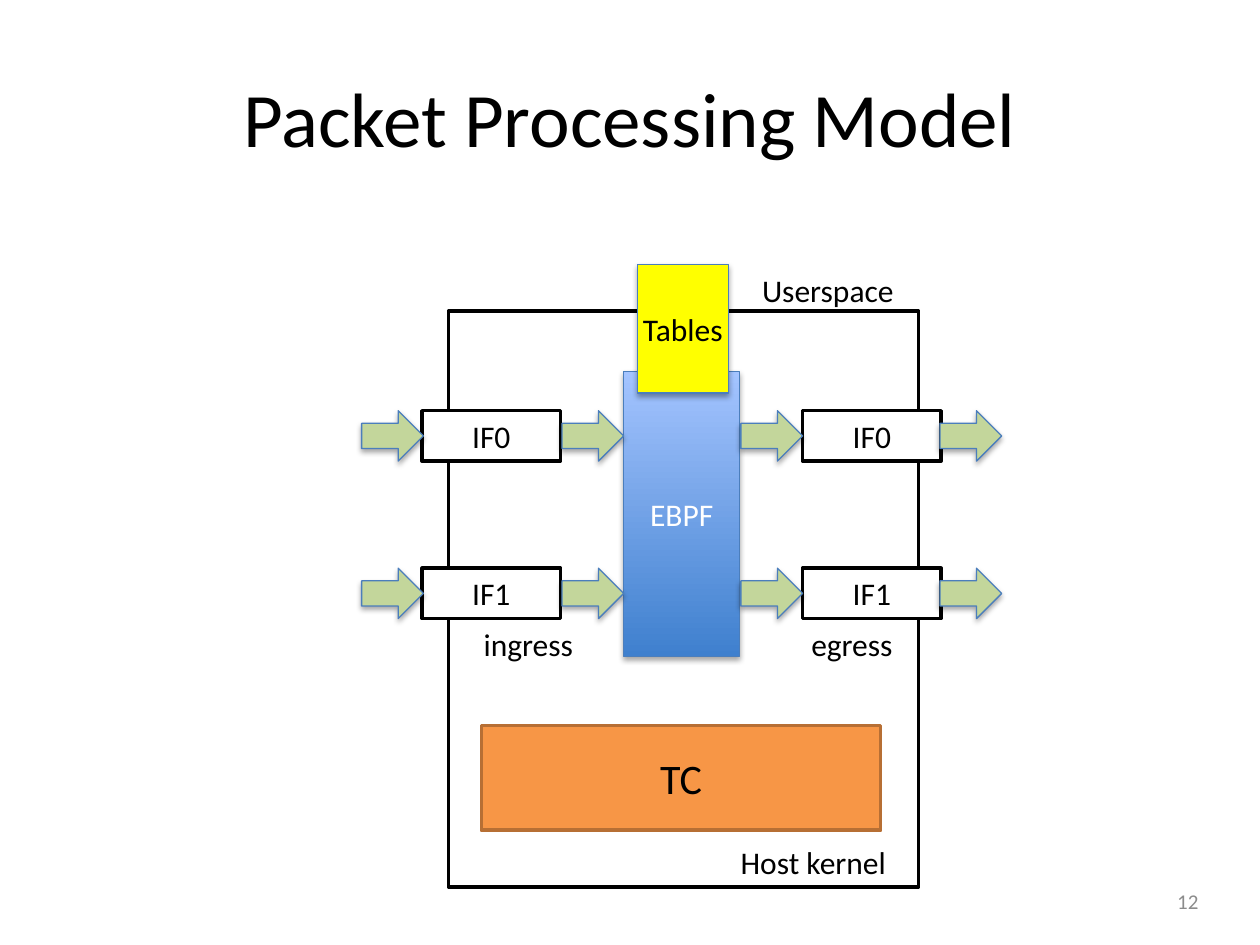
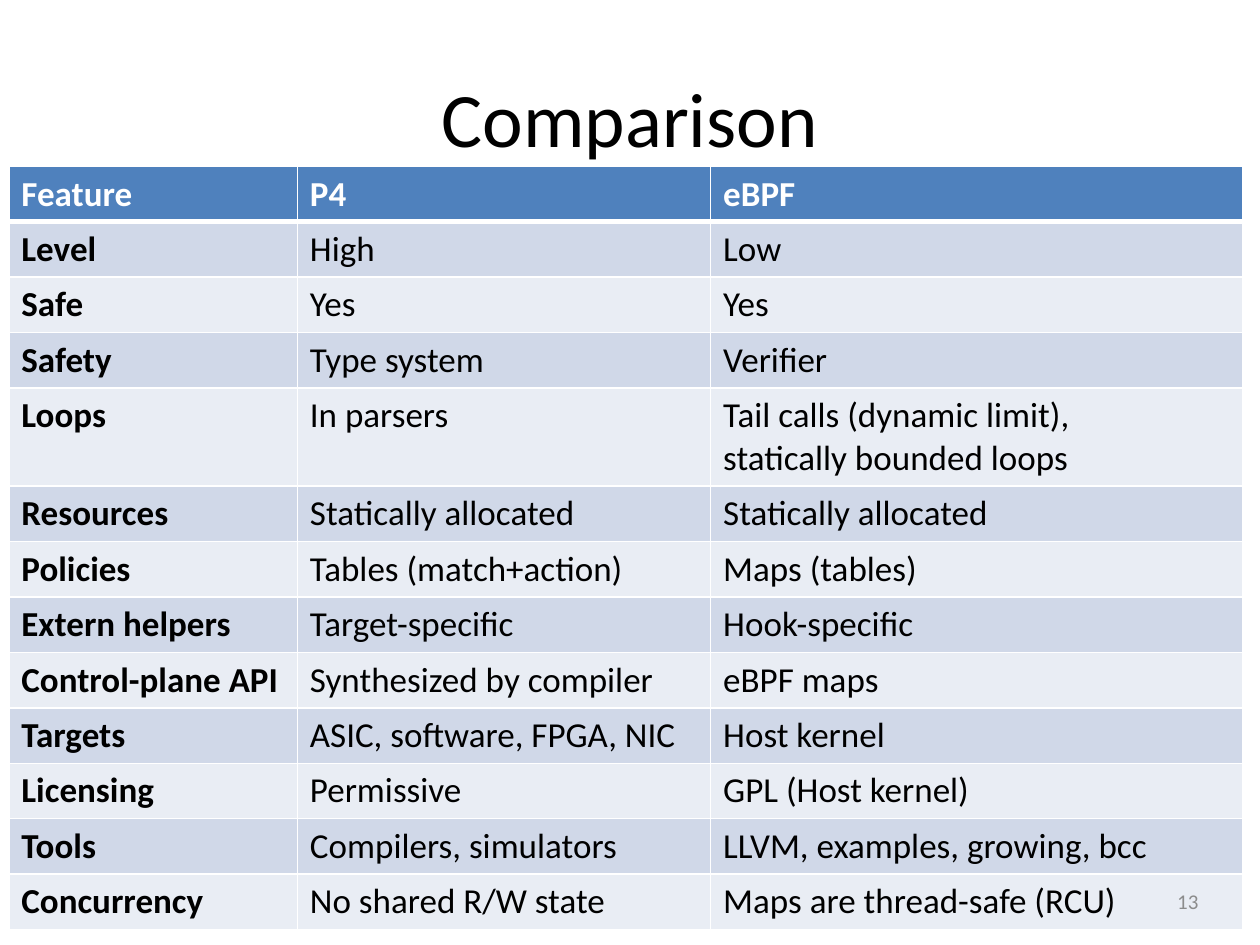
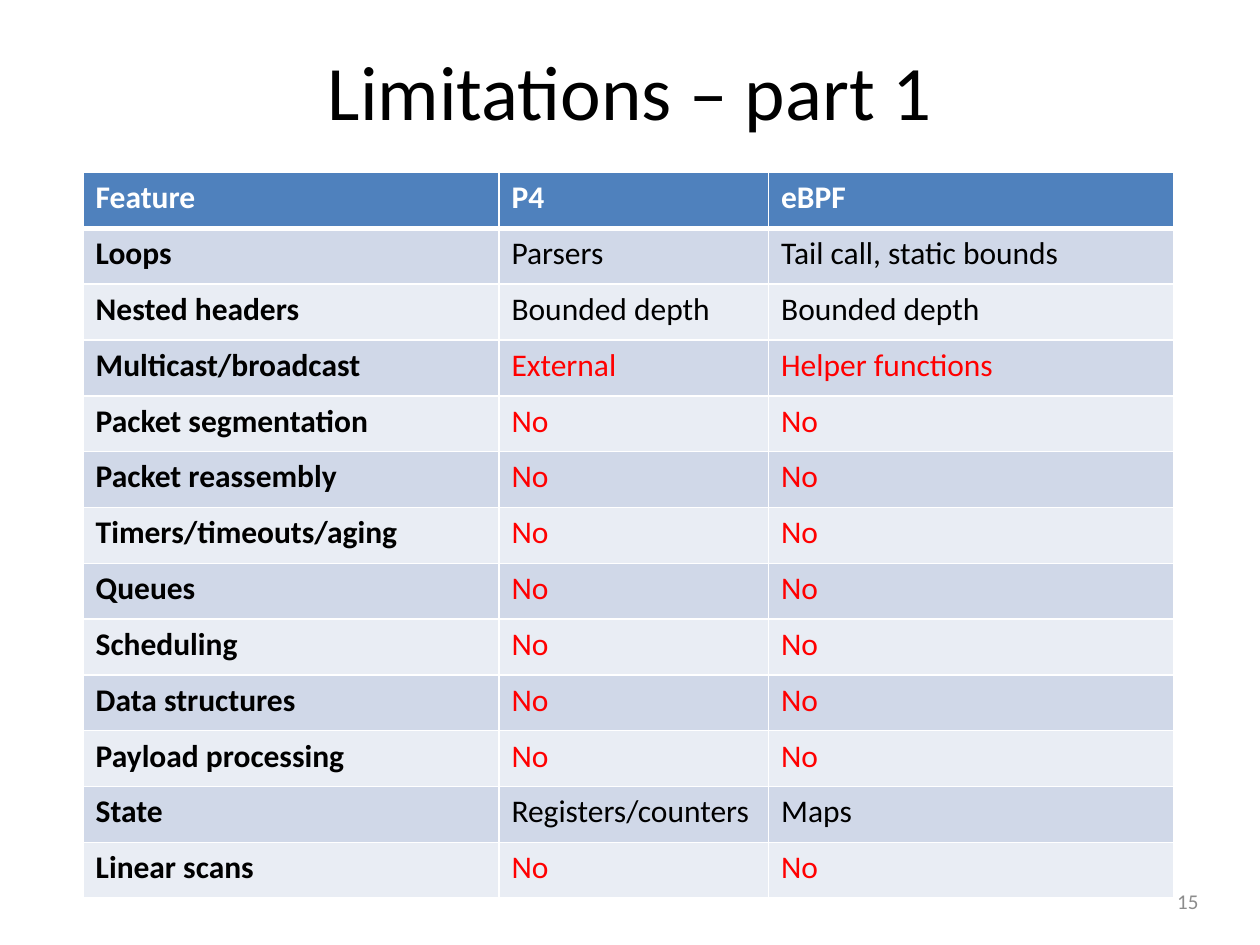
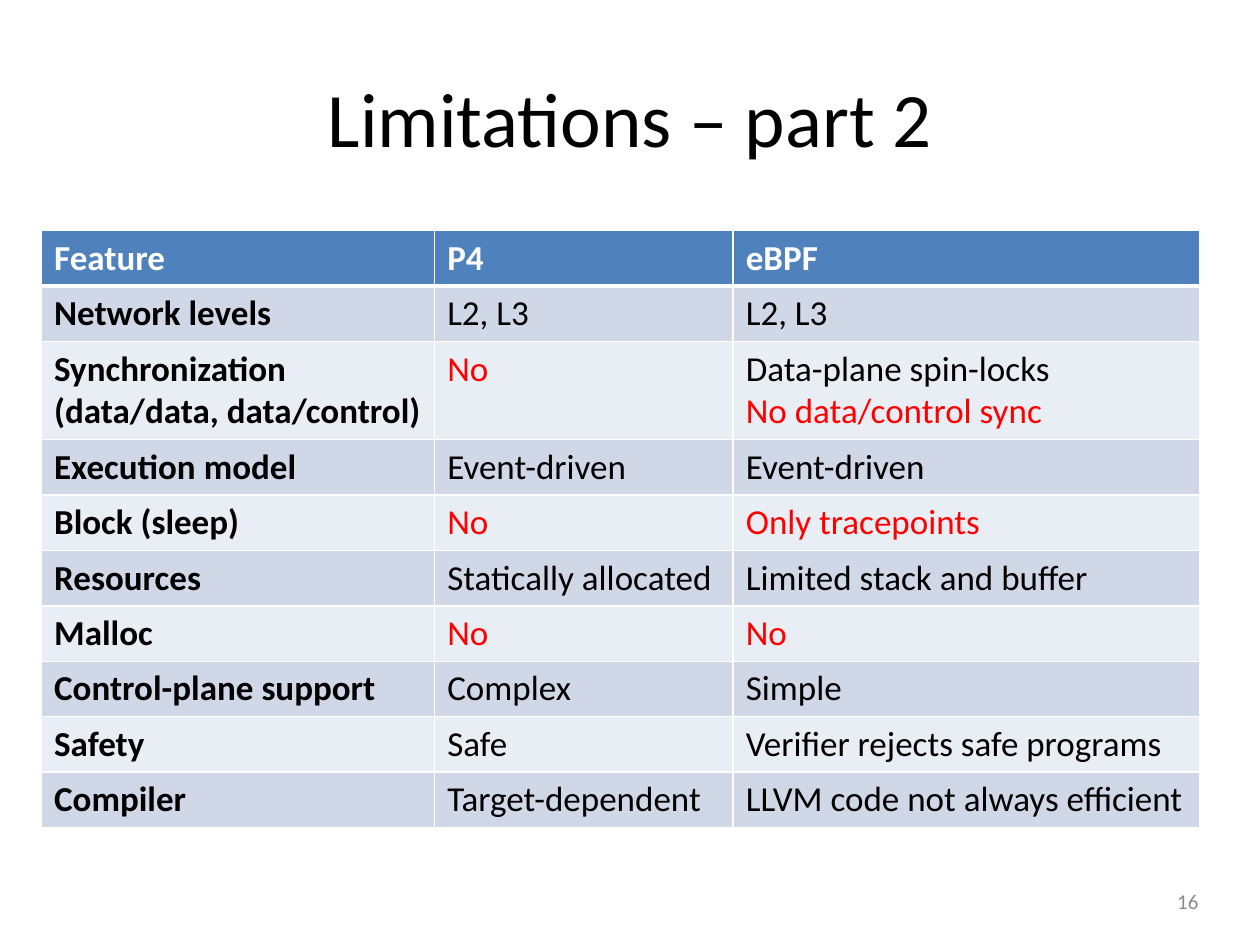
"""Builds four slides on packet processing: one diagram and three feature tables."""
from lxml import etree
from pptx import Presentation
from pptx.dml.color import RGBColor
from pptx.enum.shapes import MSO_SHAPE
from pptx.enum.text import MSO_ANCHOR, MSO_AUTO_SIZE, PP_ALIGN
from pptx.oxml.ns import qn
from pptx.util import Inches, Pt

RECTANGLE, ARROW = MSO_SHAPE.RECTANGLE, MSO_SHAPE.RIGHT_ARROW
LEFT, CENTER, RIGHT = PP_ALIGN.LEFT, PP_ALIGN.CENTER, PP_ALIGN.RIGHT
TOP, MIDDLE = MSO_ANCHOR.TOP, MSO_ANCHOR.MIDDLE
FIT_SHAPE = MSO_AUTO_SIZE.SHAPE_TO_FIT_TEXT

FONT = "Calibri"
BLACK, WHITE, RED, GRAY = "000000", "FFFFFF", "FF0000", "8C8C8C"
HEADER_BLUE, BANDS = "4F81BD", ("D0D8E8", "E9EDF4")
ORANGE, DARK_ORANGE = "F79646", "B76F34"
GREEN, YELLOW, EDGE_BLUE = "C3D69B", "FFFF00", "4B7EBC"
EBPF_GRADIENT = ("3F80CE", "A4C4FF")

TITLE_AREA = (0.5, 0.3, 9, 1.25)
RAISED_TITLE_AREA = (0.5, 0.27, 9, 0.89)
NUMBER_AREA = (8.57, 6.95, 1.04, 0.4)

INTERFACES = [("IF0", 3.26), ("IF1", 4.51)]
INTERFACE_COLUMNS = (3.35, 6.37)
ARROW_COLUMNS = (2.87, 4.46, 5.88, 7.46)
INTERFACE_SIZE, ARROW_SIZE = (1.1, 0.4), (0.49, 0.4)
LABELS = [
    ("Host kernel", (5.78, 6.64, 1.44, 0.4)),
    ("ingress", (3.74, 4.91, 0.92, 0.4)),
    ("egress", (6.34, 4.91, 0.85, 0.4)),
    ("Userspace", (5.95, 2.1, 1.26, 0.4)),
]

HEADER = ("Feature", "P4", "eBPF")
LINE_HEIGHT = 0.34
WARNINGS = {"No", "External", "Helper functions", "Only tracepoints", "No data/control sync"}
TABLE_SLIDES = [
    {
        "title": "Comparison", "title_area": TITLE_AREA, "number": 13,
        "origin": (0.07, 1.32), "columns": (2.29, 3.28, 4.22), "row_height": 0.44, "size": 20,
        "rows": [
            ("Level", "High", "Low"),
            ("Safe", "Yes", "Yes"),
            ("Safety", "Type system", "Verifier"),
            ("Loops", "In parsers", "Tail calls (dynamic limit),\nstatically bounded loops"),
            ("Resources", "Statically allocated", "Statically allocated"),
            ("Policies", "Tables (match+action)", "Maps (tables)"),
            ("Extern helpers", "Target-specific", "Hook-specific"),
            ("Control-plane API", "Synthesized by compiler", "eBPF maps"),
            ("Targets", "ASIC, software, FPGA, NIC", "Host kernel"),
            ("Licensing", "Permissive", "GPL (Host kernel)"),
            ("Tools", "Compilers, simulators", "LLVM, examples, growing, bcc"),
            ("Concurrency", "No shared R/W state", "Maps are thread-safe (RCU)"),
        ],
    },
    {
        "title": "Limitations – part 1", "title_area": RAISED_TITLE_AREA, "number": 15,
        "origin": (0.66, 1.37), "columns": (3.3, 2.14, 3.22), "row_height": 5.76 / 13, "size": 18,
        "rows": [
            ("Loops", "Parsers", "Tail call, static bounds"),
            ("Nested headers", "Bounded depth", "Bounded depth"),
            ("Multicast/broadcast", "External", "Helper functions"),
            ("Packet segmentation", "No", "No"),
            ("Packet reassembly", "No", "No"),
            ("Timers/timeouts/aging", "No", "No"),
            ("Queues", "No", "No"),
            ("Scheduling", "No", "No"),
            ("Data structures", "No", "No"),
            ("Payload processing", "No", "No"),
            ("State", "Registers/counters", "Maps"),
            ("Linear scans", "No", "No"),
        ],
    },
    {
        "title": "Limitations – part 2", "title_area": TITLE_AREA, "number": 16,
        "origin": (0.33, 1.83), "columns": (3.12, 2.37, 3.7), "row_height": 0.44, "size": 20,
        "rows": [
            ("Network levels", "L2, L3", "L2, L3"),
            ("Synchronization\n(data/data, data/control)", "No",
             "Data-plane spin-locks\nNo data/control sync"),
            ("Execution model", "Event-driven", "Event-driven"),
            ("Block (sleep)", "No", "Only tracepoints"),
            ("Resources", "Statically allocated", "Limited stack and buffer"),
            ("Malloc", "No", "No"),
            ("Control-plane support", "Complex", "Simple"),
            ("Safety", "Safe", "Verifier rejects safe programs"),
            ("Compiler", "Target-dependent", "LLVM code not always efficient"),
        ],
    },
]


def rgb(color):
    return RGBColor.from_string(color)


def inches(lengths):
    return [Inches(length) for length in lengths]


def style(paragraph, size, color=BLACK, bold=False, align=LEFT):
    paragraph.alignment = align
    font = paragraph.font
    font.name, font.size, font.bold = FONT, Pt(size), bold
    font.color.rgb = rgb(color)


def add_text(page, text, area, size=18, color=BLACK, align=LEFT, anchor=TOP, wrap=True):
    frame = page.shapes.add_textbox(*inches(area)).text_frame
    frame.word_wrap = wrap
    frame.vertical_anchor = anchor
    if not wrap:
        frame.auto_size = FIT_SHAPE
    frame.text = text
    style(frame.paragraphs[0], size, color, align=align)


def add_shadow(shape):
    effects = shape.element.spPr.find(qn("a:effectLst"))
    shadow = etree.SubElement(effects, qn("a:outerShdw"), blurRad="40000", dist="23000",
                              dir="5400000", rotWithShape="0")
    black = etree.SubElement(shadow, qn("a:srgbClr"), val=BLACK)
    etree.SubElement(black, qn("a:alpha"), val="35000")


def add_block(page, area, fill=None, line=BLACK, width=2, text="", size=18, color=BLACK,
              kind=RECTANGLE, raised=False, wrap=True):
    block = page.shapes.add_shape(kind, *inches(area))
    block.shadow.inherit = False
    if fill:
        block.fill.solid()
        block.fill.fore_color.rgb = rgb(fill)
    else:
        block.fill.background()
    block.line.color.rgb = rgb(line)
    block.line.width = Pt(width)
    if raised:
        add_shadow(block)
    if text:
        frame = block.text_frame
        frame.word_wrap = wrap
        frame.vertical_anchor = MIDDLE
        frame.text = text
        style(frame.paragraphs[0], size, color, align=CENTER)
    return block


def set_borders(cell, widths):
    properties = cell._tc.get_or_add_tcPr()
    for index, (side, width) in enumerate(widths.items()):
        border = etree.Element(qn(f"a:ln{side}"), w=str(Pt(width)))
        fill = etree.SubElement(border, qn("a:solidFill"))
        etree.SubElement(fill, qn("a:srgbClr"), val=WHITE)
        properties.insert(index, border)


def add_feature_table(page, content):
    rows = [HEADER] + content["rows"]
    heights = [content["row_height"] + LINE_HEIGHT * max(text.count("\n") for text in row)
               for row in rows]
    columns = content["columns"]
    area = (*content["origin"], sum(columns), sum(heights))
    table = page.shapes.add_table(len(rows), len(columns), *inches(area)).table
    for column, width in zip(table.columns, columns):
        column.width = Inches(width)
    for row_index, row in enumerate(rows):
        table.rows[row_index].height = Inches(heights[row_index])
        is_header = row_index == 0
        borders = {"L": 1, "R": 1, "T": 1, "B": 3} if is_header else {"L": 1, "R": 1, "B": 1}
        for column_index, text in enumerate(row):
            cell = table.cell(row_index, column_index)
            cell.fill.solid()
            cell.fill.fore_color.rgb = rgb(HEADER_BLUE if is_header else BANDS[(row_index - 1) % 2])
            set_borders(cell, borders)
            cell.text = text
            for paragraph in cell.text_frame.paragraphs:
                color = WHITE if is_header else RED if paragraph.text in WARNINGS else BLACK
                style(paragraph, content["size"], color, is_header or column_index == 0)


def add_diagram(page):
    add_block(page, (3.82, 5.76, 3.17, 0.83), ORANGE, DARK_ORANGE, text="TC", size=24)
    glossy = {"line": EDGE_BLUE, "width": 0.75, "raised": True}
    program = add_block(page, (4.95, 2.95, 0.92, 2.26), text="EBPF", color=WHITE, **glossy)
    program.fill.gradient()
    program.fill.gradient_angle = 90
    for stop, color in zip(program.fill.gradient_stops, EBPF_GRADIENT):
        stop.color.rgb = rgb(color)
    add_block(page, (3.56, 2.47, 3.73, 4.57))
    for name, top in INTERFACES:
        for left in INTERFACE_COLUMNS:
            add_block(page, (left, top, *INTERFACE_SIZE), WHITE, text=name)
        for left in ARROW_COLUMNS:
            add_block(page, (left, top, *ARROW_SIZE), GREEN, kind=ARROW, **glossy)
    add_block(page, (5.06, 2.1, 0.72, 1.02), YELLOW, text="Tables", wrap=False, **glossy)
    for text, area in LABELS:
        add_text(page, text, area, wrap=False)


def add_page(deck, title, area):
    page = deck.slides.add_slide(deck.slide_layouts[6])
    add_text(page, title, area, 44, align=CENTER, anchor=MIDDLE)
    return page


def add_number(page, number):
    add_text(page, str(number), NUMBER_AREA, 12, GRAY, RIGHT, MIDDLE)


def main():
    deck = Presentation()
    deck.slide_width, deck.slide_height = inches((10, 7.5))
    page = add_page(deck, "Packet Processing Model", TITLE_AREA)
    add_diagram(page)
    add_number(page, 12)
    for content in TABLE_SLIDES:
        page = add_page(deck, content["title"], content["title_area"])
        add_feature_table(page, content)
        add_number(page, content["number"])
    deck.save("out.pptx")


if __name__ == "__main__":
    main()
